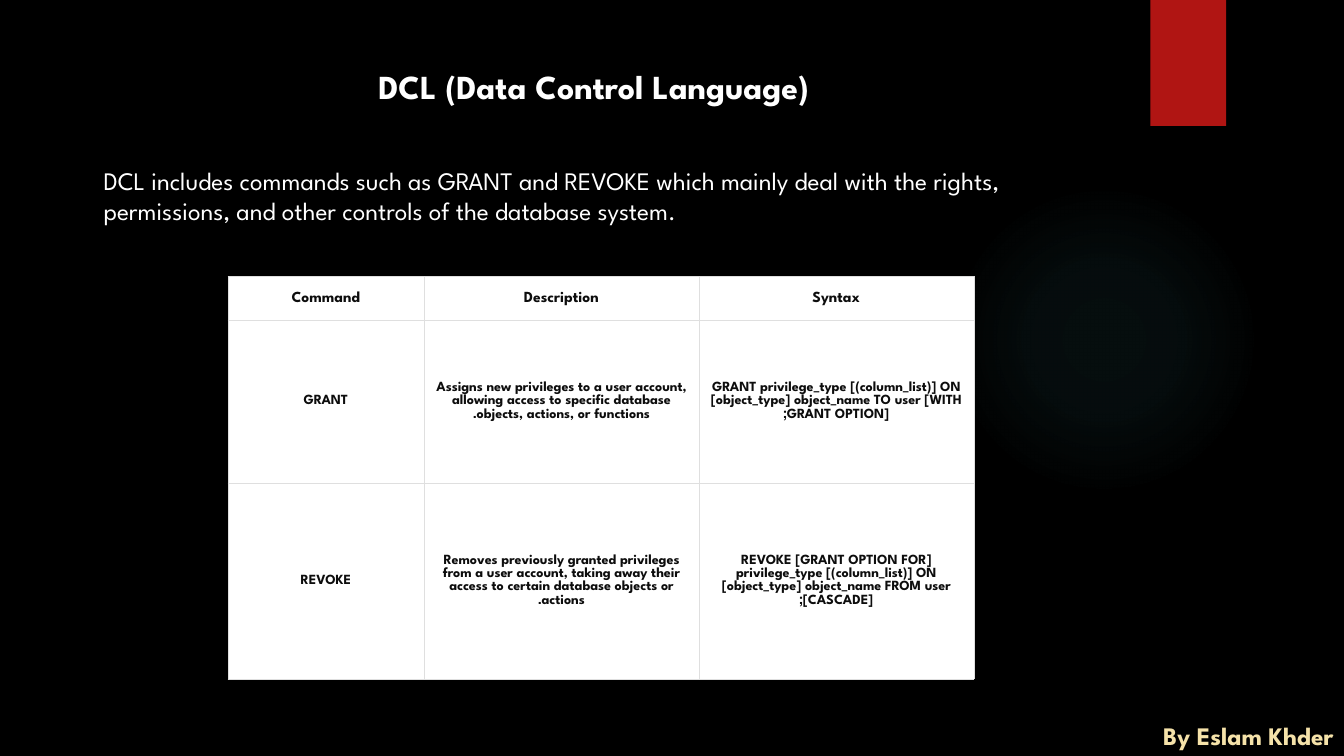
from dataclasses import dataclass

from lxml import etree
from pptx import Presentation
from pptx.dml.color import RGBColor
from pptx.enum.shapes import MSO_SHAPE
from pptx.enum.text import MSO_ANCHOR, MSO_AUTO_SIZE, PP_ALIGN
from pptx.oxml import parse_xml
from pptx.oxml.ns import nsdecls, qn
from pptx.util import Pt

FONT = "League Spartan"
LEFT, CENTER, RIGHT = PP_ALIGN.LEFT, PP_ALIGN.CENTER, PP_ALIGN.RIGHT
TOP, MIDDLE = MSO_ANCHOR.TOP, MSO_ANCHOR.MIDDLE
GROW = MSO_AUTO_SIZE.SHAPE_TO_FIT_TEXT
OVAL, RECTANGLE = MSO_SHAPE.OVAL, MSO_SHAPE.RECTANGLE
TITLE_ONLY = 5


@dataclass(frozen=True)
class TextStyle:
    size: float
    color: str
    bold: bool = True
    align: PP_ALIGN = CENTER
    right_to_left: bool = True


@dataclass(frozen=True)
class Box:
    left: float
    top: float
    width: float
    height: float

    def lengths(self) -> tuple:
        return Pt(self.left), Pt(self.top), Pt(self.width), Pt(self.height)


@dataclass(frozen=True)
class TextBlock:
    text: str
    box: Box
    style: TextStyle
    wrap: bool = True


TITLE = TextBlock("DCL (Data Control Language)",
                  Box(121.68, 43.2, 604.8, 36), TextStyle(24, "FFFFFF"))
TEXT_BLOCKS = [
    TextBlock("By Eslam Khder", Box(811.44, 511.2, 148.32, 28.8),
              TextStyle(18, "F5E2A9", align=RIGHT), wrap=False),
    TextBlock("DCL includes commands such as GRANT and REVOKE which mainly deal "
              "with the rights, permissions, and other controls of the database system.",
              Box(66.96, 114.48, 714.96, 51.12),
              TextStyle(18, "FFFFFF", bold=False, align=LEFT, right_to_left=False)),
]

TABLE_BOX = Box(162.72, 197.28, 532.8, 288)
COLUMN_WIDTHS = [140.2, 196.3, 196.3]
ROW_HEIGHTS = [31.6, 116, 140.4]
HEADER_STYLE = TextStyle(11, "0D0D0D")
BODY_STYLE = TextStyle(10, "0D0D0D")
ROWS = [
    ["Command", "Description", "Syntax"],
    ["GRANT",
     "Assigns new privileges to a user account, allowing access to specific "
     "database objects, actions, or functions.",
     "GRANT privilege_type [(column_list)] ON [object_type] object_name TO user "
     "[WITH GRANT OPTION];"],
    ["REVOKE",
     "Removes previously granted privileges from a user account, taking away "
     "their access to certain database objects or actions.",
     "REVOKE [GRANT OPTION FOR] privilege_type [(column_list)] ON [object_type] "
     "object_name FROM user [CASCADE];"],
]


def set_color(color_format, value: str) -> None:
    color_format.rgb = RGBColor.from_string(value)


def set_fill(fill, value: str) -> None:
    fill.solid()
    set_color(fill.fore_color, value)


def write_text(text_frame, text: str, style: TextStyle) -> None:
    text_frame.text = text
    paragraph = text_frame.paragraphs[0]
    paragraph.alignment = style.align
    if style.right_to_left:
        paragraph._p.get_or_add_pPr().set("rtl", "1")
    paragraph.font.name = FONT
    paragraph.font.size = Pt(style.size)
    paragraph.font.bold = style.bold
    set_color(paragraph.font.color, style.color)


def format_block(shape, block: TextBlock) -> None:
    shape.left, shape.top, shape.width, shape.height = block.box.lengths()
    text_frame = shape.text_frame
    write_text(text_frame, block.text, block.style)
    text_frame.word_wrap = block.wrap
    text_frame.auto_size = GROW
    text_frame.vertical_anchor = TOP


def add_plain_shape(slide, kind: MSO_SHAPE, box: Box, color: str):
    shape = slide.shapes.add_shape(kind, *box.lengths())
    shape.shadow.inherit = False
    set_fill(shape.fill, color)
    shape.line.fill.background()
    return shape


def add_glow(slide, box: Box, color: str, stops: list[tuple[int, int]]) -> None:
    """Draw a circle whose opacity fades outwards; stops are (position, alpha) in percent."""
    shape = add_plain_shape(slide, OVAL, box, color)
    stop_xml = "".join(
        f'<a:gs pos="{position * 1000}"><a:srgbClr val="{color}">'
        f'<a:alpha val="{alpha * 1000}"/></a:srgbClr></a:gs>'
        for position, alpha in stops)
    gradient = parse_xml(
        f'<a:gradFill {nsdecls("a")}><a:gsLst>{stop_xml}</a:gsLst><a:path path="circle">'
        '<a:fillToRect l="50000" t="50000" r="50000" b="50000"/></a:path></a:gradFill>')
    properties = shape._element.spPr
    properties.replace(properties.find(qn("a:solidFill")), gradient)


def add_borders(cell, color: str, width: float) -> None:
    properties = cell._tc.get_or_add_tcPr()
    for index, side in enumerate(("a:lnL", "a:lnR", "a:lnT", "a:lnB")):
        line = etree.Element(qn(side), w=str(Pt(width)))
        fill = etree.SubElement(line, qn("a:solidFill"))
        etree.SubElement(fill, qn("a:srgbClr"), val=color)
        properties.insert(index, line)


def add_command_table(slide) -> None:
    table = slide.shapes.add_table(len(ROWS), len(COLUMN_WIDTHS), *TABLE_BOX.lengths()).table
    table.first_row = table.horz_banding = False
    for column, width in zip(table.columns, COLUMN_WIDTHS):
        column.width = Pt(width)
    for row_index, (row, height) in enumerate(zip(table.rows, ROW_HEIGHTS)):
        row.height = Pt(height)
        is_header = row_index == 0
        for column_index, cell in enumerate(row.cells):
            write_text(cell.text_frame, ROWS[row_index][column_index],
                       HEADER_STYLE if is_header else BODY_STYLE)
            cell.vertical_anchor = MIDDLE
            side_margin = 2.2 if is_header and column_index == 0 else 5
            cell.margin_left = cell.margin_right = Pt(side_margin)
            cell.margin_top = cell.margin_bottom = Pt(5 if is_header else 6.5)
            set_fill(cell.fill, "FFFFFF")
            add_borders(cell, "DFDFDF", 0.18)


def main() -> None:
    presentation = Presentation()
    presentation.slide_width, presentation.slide_height = Pt(960), Pt(540)
    slide = presentation.slides.add_slide(presentation.slide_layouts[TITLE_ONLY])

    # Background and decoration
    set_fill(slide.background.fill, "000000")
    add_glow(slide, Box(677.52, 131.76, 221.76, 221.76), "50B9C1",
             [(0, 7), (36, 6), (69, 0)])
    add_plain_shape(slide, RECTANGLE, Box(821.8, 0, 54, 90), "B01513")

    # Title, introduction and byline
    format_block(slide.shapes.title, TITLE)
    for block in TEXT_BLOCKS:
        format_block(slide.shapes.add_textbox(*block.box.lengths()), block)

    # Table of commands
    add_command_table(slide)

    presentation.save("out.pptx")


if __name__ == "__main__":
    main()
